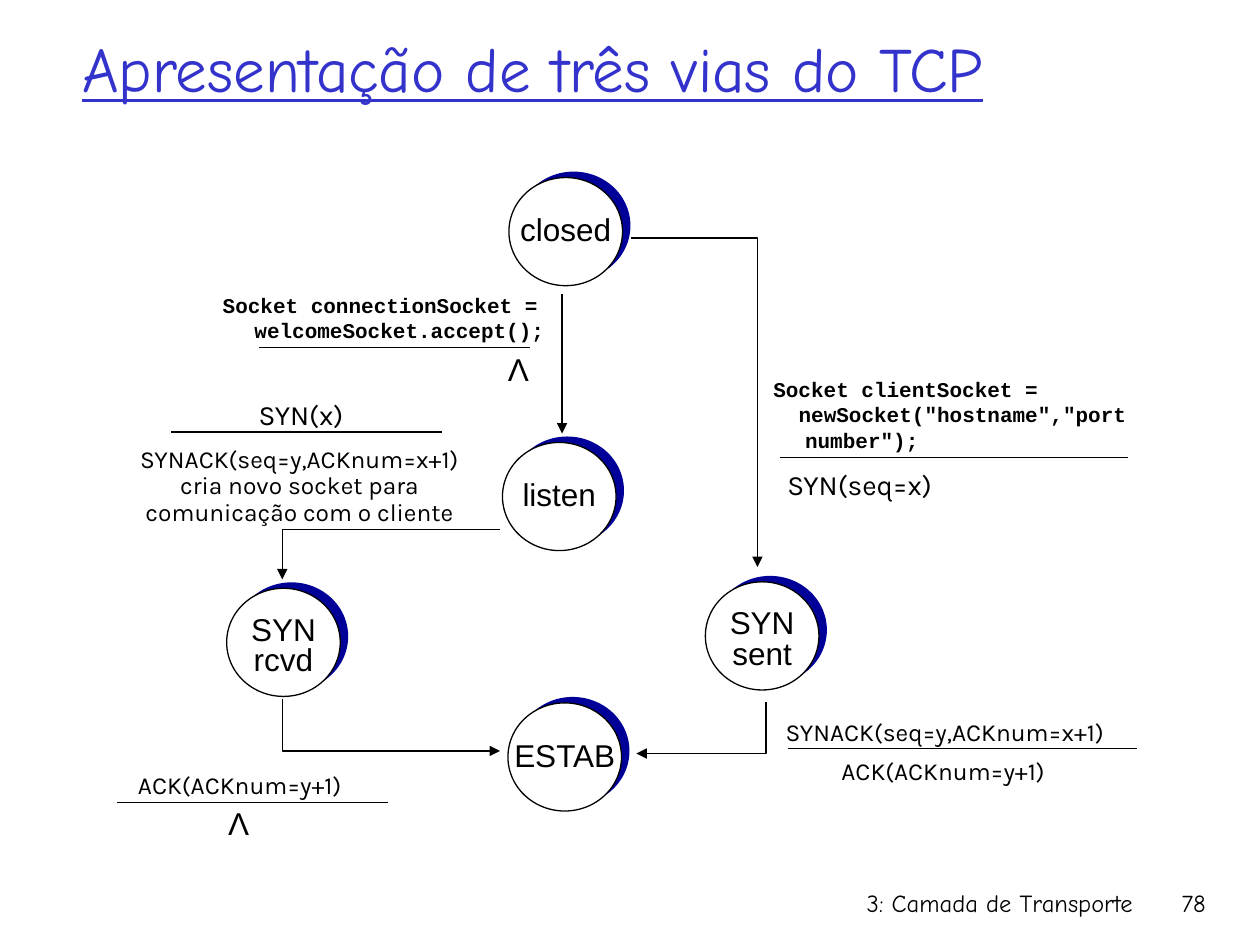
from lxml.etree import SubElement
from pptx import Presentation
from pptx.dml.color import RGBColor
from pptx.enum.shapes import MSO_CONNECTOR, MSO_SHAPE
from pptx.enum.text import MSO_ANCHOR, PP_ALIGN
from pptx.oxml.ns import qn
from pptx.util import Cm, Pt

BLACK, WHITE, NAVY, BLUE = "000000", "FFFFFF", "000099", "3333CC"
DISC_WIDTH, DISC_HEIGHT = 2.29, 2.18
NAME_OVERHANG = 0.4
LAMBDA_STYLE = ("Arial", 18, 1)
EVENT_STYLE = ("Karla", 16, 1)
DETAIL_STYLE = ("Karla", 14, 0.9)
FOOTER_STYLE = ("Comic Neue", 14, 1)


def paint(color_format, value):
    """Set a colour from a hex string."""
    color_format.rgb = RGBColor.from_string(value)


def lengths(*values):
    """Turn numbers into centimetre lengths."""
    return [Cm(value) for value in values]


def add_span(para, text, font, size, color=BLACK, bold=False):
    """Add one formatted run and return it."""
    span = para.add_run()
    span.text = text
    span.font.name, span.font.size, span.font.bold = font, Pt(size), bold
    paint(span.font.color, color)
    return span


def add_text(page, box, lines, style, align=PP_ALIGN.CENTER, anchor=MSO_ANCHOR.TOP):
    """Place unwrapped lines of one style in a box."""
    font, size, spacing = style
    frame = page.shapes.add_textbox(*lengths(*box)).text_frame
    frame.word_wrap = False
    frame.vertical_anchor = anchor
    for number, line in enumerate(lines):
        para = frame.add_paragraph() if number else frame.paragraphs[0]
        para.alignment, para.line_spacing = align, spacing
        add_span(para, line, font, size)


def add_code(page, box, lines):
    """Place wrapped code whose lines are (text, first line indent) pairs."""
    frame = page.shapes.add_textbox(*lengths(*box)).text_frame
    frame.word_wrap = True
    for number, (line, indent) in enumerate(lines):
        para = frame.add_paragraph() if number else frame.paragraphs[0]
        properties = para._p.get_or_add_pPr()
        properties.set("marL", str(Cm(0.64)))
        properties.set("indent", str(Cm(indent)))
        add_span(para, line, "Courier New", 12, bold=True)


def style_line(shape, arrow=False):
    """Give a shape a thin black line, with an arrowhead at its end if asked."""
    paint(shape.line.color, BLACK)
    shape.line.width = Pt(0.75)
    if arrow:
        SubElement(shape.line._get_or_add_ln(), qn("a:tailEnd"), type="triangle")


def add_straight(page, start, end, arrow=False):
    """Draw a straight line between two points."""
    line = page.shapes.add_connector(MSO_CONNECTOR.STRAIGHT, *lengths(*start, *end))
    style_line(line, arrow)
    SubElement(line._element.spPr, qn("a:effectLst"))


def add_bent_arrow(page, start, corner, end):
    """Draw an arrow with one right-angled corner."""
    builder = page.shapes.build_freeform(*lengths(*start))
    builder.add_line_segments([lengths(*corner), lengths(*end)], close=False)
    arrow = builder.convert_to_shape()
    arrow.shadow.inherit = False
    arrow.fill.background()
    style_line(arrow, arrow=True)


def add_state(page, left, top, lines):
    """Draw a state as a white disc over a navy one, with its name."""
    group = page.shapes.add_group_shape()
    for dx, dy, color in ((0.16, -0.12, NAVY), (0, 0, WHITE)):
        box = lengths(left + dx, top + dy, DISC_WIDTH, DISC_HEIGHT)
        disc = group.shapes.add_shape(MSO_SHAPE.OVAL, *box)
        disc.shadow.inherit = False
        disc.fill.solid()
        paint(disc.fill.fore_color, color)
        if color == WHITE:
            style_line(disc)
        else:
            disc.line.fill.background()
    spacing, drop = (0.8, 0.1) if len(lines) > 1 else (1, -0.05)
    name_box = (left - NAME_OVERHANG, top + drop,
                DISC_WIDTH + 2 * NAME_OVERHANG, DISC_HEIGHT)
    add_text(page, name_box, lines, ("Arial", 18, spacing), anchor=MSO_ANCHOR.MIDDLE)


def add_transition(page, left, top, width, texts=(), code=None):
    """Draw a rule with its event above and action below, placed relative to it."""
    add_straight(page, (left, top), (left + width, top))
    if code:
        (dx, dy, *size), lines = code
        add_code(page, (left + dx, top + dy, *size), lines)
    for (dx, dy, *size), lines, style in texts:
        add_text(page, (left + dx, top + dy, *size), lines, style)


def add_title(page, box, text):
    """Move and format the title placeholder."""
    title = page.shapes.title
    title.left, title.top, title.width, title.height = lengths(*box)
    title.text_frame.vertical_anchor = MSO_ANCHOR.MIDDLE
    para = title.text_frame.paragraphs[0]
    para.alignment = PP_ALIGN.LEFT
    add_span(para, text, "Comic Neue", 36, BLUE).font.underline = True


def add_diagram(page):
    """Draw the states, arrows and transition labels of the handshake."""
    for left, top, lines in (
        (10.26, 3.58, ["closed"]),
        (10.13, 8.92, ["listen"]),
        (4.57, 11.86, ["SYN", "rcvd"]),
        (14.22, 11.73, ["SYN", "sent"]),
        (10.24, 14.17, ["ESTAB"]),
    ):
        add_state(page, left, top, lines)

    add_straight(page, (11.33, 5.92), (11.33, 8.74), arrow=True)
    for points in (
        ((12.73, 4.8), (15.27, 4.8), (15.27, 11.43)),
        ((10.08, 10.67), (5.69, 10.67), (5.69, 11.68)),
        ((5.69, 14.1), (5.69, 15.14), (10.08, 15.14)),
        ((15.44, 14.15), (15.44, 15.19), (12.83, 15.19)),
    ):
        add_bent_arrow(page, *points)

    synack, ack = "SYNACK(seq=y,ACKnum=x+1)", "ACK(ACKnum=y+1)"
    add_transition(
        page, 5.23, 7.01, 5.46,
        [((4.75, -0.08, 0.94, 1.02), ["Λ"], LAMBDA_STYLE)],
        ((-0.99, -1.24, 7.16, 1.27),
         [("Socket connectionSocket = welcomeSocket.accept();", -0.64)]))
    add_transition(
        page, 15.72, 9.22, 7.01,
        [((-0.14, 0.08, 3.5, 0.94), ["SYN(seq=x)"], EVENT_STYLE)],
        ((-0.38, -1.75, 8.03, 1.78),
         [("Socket clientSocket =", -0.64),
          ('newSocket("hostname","port number");', -0.13)]))
    add_transition(page, 3.45, 8.71, 5.46, [
        ((1.5, -0.82, 2.24, 0.94), ["SYN(x)"], EVENT_STYLE),
        ((-1.04, 0.18, 7.26, 1.8),
         [synack, "cria novo socket para", "comunicação com o cliente"], DETAIL_STYLE)])
    add_transition(page, 15.88, 15.09, 7.04, [
        ((-0.45, -0.69, 7.24, 0.8), [synack], DETAIL_STYLE),
        ((0.71, 0.1, 4.85, 0.8), [ack], DETAIL_STYLE)])
    add_transition(page, 2.36, 16.18, 5.46, [
        ((0.05, -0.71, 4.85, 0.8), [ack], DETAIL_STYLE),
        ((1.98, -0.1, 0.94, 1.02), ["Λ"], LAMBDA_STYLE)])


def add_footer(page, top, height):
    """Place the chapter name and page number."""
    for left, width, text in ((15.04, 8.05, "3: Camada de Transporte"),
                              (22.68, 1.88, "78")):
        add_text(page, (left, top, width, height), [text], FOOTER_STYLE, PP_ALIGN.RIGHT)


def main():
    """Build and save the deck."""
    deck = Presentation()
    deck.slide_width, deck.slide_height = lengths(25.4, 19.05)
    page = deck.slides.add_slide(deck.slide_layouts[5])
    add_title(page, (1.4, 0.18, 21.01, 2.36), "Apresentação de três vias do TCP")
    add_diagram(page)
    add_footer(page, 17.78, 1.27)
    deck.save("out.pptx")


if __name__ == "__main__":
    main()
